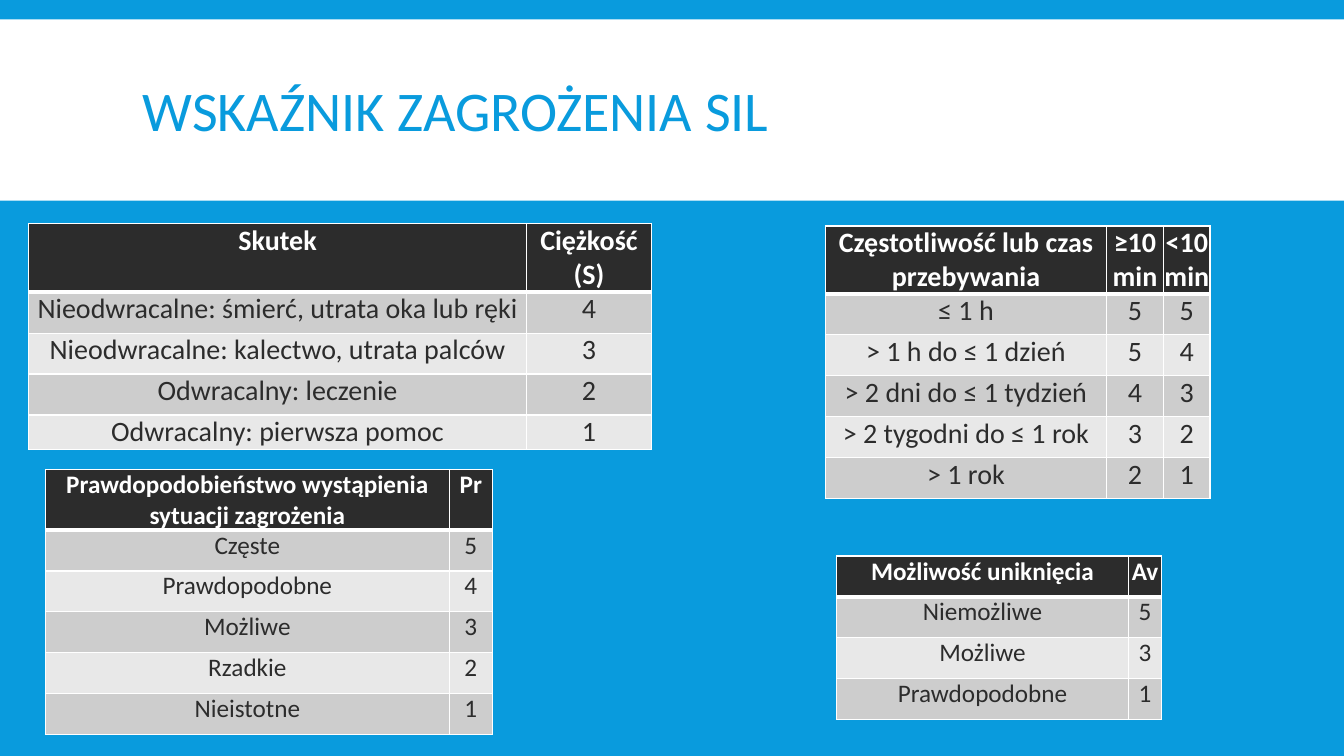
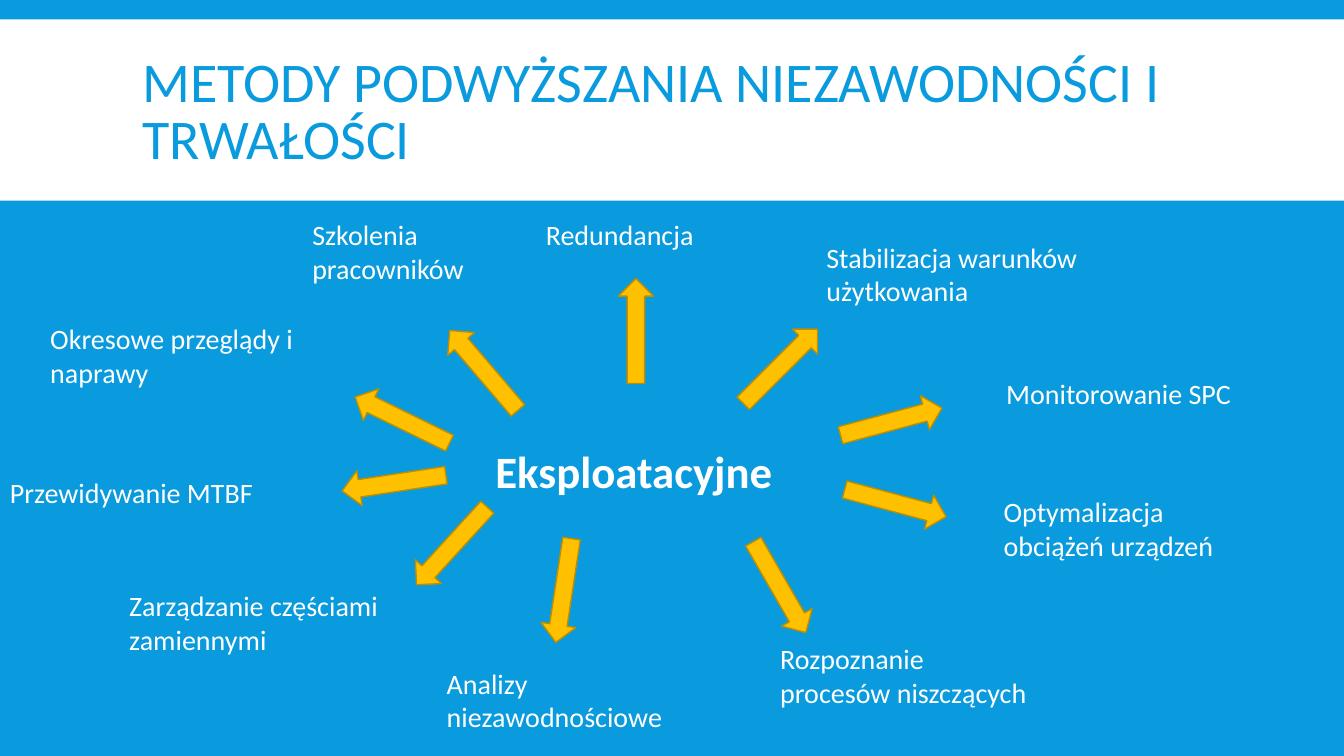
from dataclasses import dataclass

from lxml import etree
from pptx import Presentation, util as u
from pptx.dml.color import RGBColor
from pptx.enum import shapes, text
from pptx.oxml import ns

# The slide is a grid of 160 columns by 90 rows of square cells.
COLS, ROWS = 160, 90
CELL = u.Inches(7.5) / ROWS

BLUE = RGBColor(0x09, 0x9B, 0xDD)
WHITE = RGBColor(0xFF, 0xFF, 0xFF)
DARK = RGBColor(0x2C, 0x2C, 0x2C)
BANDS = RGBColor(0xCD, 0xCD, 0xCD), RGBColor(0xE8, 0xE8, 0xE8)
AMBER = RGBColor(0xFF, 0xC0, 0x00)
AMBER_EDGE = RGBColor(0xBD, 0x8E, 0x00)

FONT = "Calibri"
TABLE_ROW = 4.87
ARROW_LENGTH, ARROW_WIDTH = 12.5, 4.2


@dataclass(frozen=True)
class Scale:
    """A rating table: its top left corner, column widths and rows of text."""
    col: float
    row: float
    widths: tuple[float, ...]
    size: int
    header_height: float
    cells: tuple[tuple[str, ...], ...]
    last_height: float = TABLE_ROW


@dataclass(frozen=True)
class Method:
    """A label and the centre and angle of the arrow that leads to it."""
    label: str
    col: float
    row: float
    width: float
    lines: int
    arrow_col: float
    arrow_row: float
    angle: float


SCALES = (
    Scale(3.4, 26.6, (59.3, 14.85), 20, 8.2, (
        ("Skutek", "Ciężkość (S)"),
        ("Nieodwracalne: śmierć, utrata oka lub ręki", "4"),
        ("Nieodwracalne: kalectwo, utrata palców", "3"),
        ("Odwracalny: leczenie", "2"),
        ("Odwracalny: pierwsza pomoc", "1"),
    ), last_height=4.1),
    Scale(98.3, 26.9, (33.4, 6.84, 5.52), 20, 8.1, (
        ("Częstotliwość lub czas przebywania", "≥10 min", "<10 min"),
        ("≤ 1 h", "5", "5"),
        ("> 1 h do ≤ 1 dzień", "5", "4"),
        ("> 2 dni do ≤ 1 tydzień", "4", "3"),
        ("> 2 tygodni do ≤ 1 rok", "3", "2"),
        ("> 1 rok", "2", "1"),
    )),
    Scale(5.4, 55.9, (48.1, 5.1), 18, 7.2, (
        ("Prawdopodobieństwo wystąpienia sytuacji zagrożenia", "Pr"),
        ("Częste", "5"),
        ("Prawdopodobne", "4"),
        ("Możliwe", "3"),
        ("Rzadkie", "2"),
        ("Nieistotne", "1"),
    )),
    Scale(99.6, 66.2, (34.75, 3.95), 18, TABLE_ROW, (
        ("Możliwość uniknięcia", "Av"),
        ("Niemożliwe", "5"),
        ("Możliwe", "3"),
        ("Prawdopodobne", "1"),
    )),
)

METHODS = (
    Method("Redundancja", 63.8, 25.3, 29.5, 1, 75.7, 39.4, 270),
    Method("Stabilizacja warunków użytkowania", 97.2, 28, 34.8, 2, 92.9, 43.6, 315),
    Method("Monitorowanie SPC", 118.6, 44.2, 33, 1, 106.1, 50.2, 345),
    Method("Optymalizacja obciążeń urządzeń", 118.3, 58.3, 33, 2, 106.6, 59.9, 15),
    Method("Rozpoznanie procesów niszczących", 91.7, 75.8, 32.5, 2, 92.8, 69.9, 60),
    Method("Analizy niezawodnościowe", 52, 78.7, 33, 2, 67.1, 70.3, 98.6),
    Method("Zarządzanie częściami zamiennymi", 14.2, 69.5, 38, 2, 53.8, 65, 132.4),
    Method("Przewidywanie MTBF", 0, 56, 33, 1, 46.9, 57.5, 171.4),
    Method("Okresowe przeglądy i naprawy", 4.8, 37.7, 33, 2, 47.9, 50, 206.1),
    Method("Szkolenia pracowników", 36, 25.3, 29.5, 2, 57.6, 44.1, 229.5),
)


def cells(*counts: float) -> list[u.Emu]:
    """Turn counts of grid cells into lengths."""
    return [u.Emu(round(n * CELL)) for n in counts]


def add_run(p, words: str, size: int, color: RGBColor, bold: bool = False) -> None:
    r = p.add_run()
    r.text = words
    r.font.name, r.font.size, r.font.bold = FONT, u.Pt(size), bold
    r.font.color.rgb = color


def add_text(s, box: tuple[float, ...], words: str, size: int,
             color: RGBColor = WHITE, bold: bool = False):
    tf = s.shapes.add_textbox(*cells(*box)).text_frame
    tf.word_wrap = True
    add_run(tf.paragraphs[0], words, size, color, bold)
    return tf


def add_titled_slide(prs, title: str):
    s = prs.slides.add_slide(prs.slide_layouts[6])
    s.background.fill.solid()
    s.background.fill.fore_color.rgb = BLUE
    band = s.shapes.add_shape(shapes.MSO_SHAPE.RECTANGLE, *cells(0, 2.3, COLS, 21.6))
    band.shadow.inherit = False
    band.fill.solid()
    band.fill.fore_color.rgb = WHITE
    band.line.fill.background()
    tf = add_text(s, (15.8, 3.7, 128.4, 19.8), title, 40, BLUE)
    tf.vertical_anchor = text.MSO_ANCHOR.MIDDLE
    tf.paragraphs[0].line_spacing = 0.85
    return s


def add_border(cell, side: str, points: float) -> None:
    tc_pr = cell._tc.get_or_add_tcPr()
    ln = etree.SubElement(tc_pr, ns.qn(f"a:ln{side}"), w=str(u.Pt(points)))
    fill = etree.SubElement(ln, ns.qn("a:solidFill"))
    etree.SubElement(fill, ns.qn("a:srgbClr"), val=str(WHITE))


def style_cell(cell, row: int, words: str, size: int) -> None:
    header = row == 0
    cell.margin_left = cell.margin_right = cell.margin_top = cell.margin_bottom = 0
    thick_side = {0: "B", 1: "T"}.get(row)
    for side in "LRTB":
        add_border(cell, side, 3 if side == thick_side else 1)
    cell.fill.solid()
    cell.fill.fore_color.rgb = DARK if header else BANDS[(row - 1) % 2]
    p = cell.text_frame.paragraphs[0]
    p.alignment = text.PP_ALIGN.CENTER
    add_run(p, words, size, WHITE if header else DARK, header)


def add_scale(s, scale: Scale) -> None:
    middle = [TABLE_ROW] * (len(scale.cells) - 2)
    heights = [scale.header_height, *middle, scale.last_height]
    box = cells(scale.col, scale.row, sum(scale.widths), sum(heights))
    table = s.shapes.add_table(len(heights), len(scale.widths), *box).table
    table.horz_banding = False
    for column, width in zip(table.columns, cells(*scale.widths)):
        column.width = width
    for row, height in zip(table.rows, cells(*heights)):
        row.height = height
    for i, line in enumerate(scale.cells):
        for j, words in enumerate(line):
            style_cell(table.cell(i, j), i, words, scale.size)


def add_arrow(s, col: float, row: float, angle: float) -> None:
    """Draw an arrow centred on a grid point."""
    box = cells(col - ARROW_LENGTH / 2, row - ARROW_WIDTH / 2, ARROW_LENGTH, ARROW_WIDTH)
    arrow = s.shapes.add_shape(shapes.MSO_SHAPE.RIGHT_ARROW, *box)
    arrow.rotation = angle
    arrow.shadow.inherit = False
    arrow.fill.solid()
    arrow.fill.fore_color.rgb = AMBER
    arrow.line.color.rgb = AMBER_EDGE
    arrow.line.width = u.Pt(1)


def main() -> None:
    prs = Presentation()
    prs.slide_width, prs.slide_height = cells(COLS, ROWS)

    s = add_titled_slide(prs, "WSKAŹNIK ZAGROŻENIA SIL")
    for scale in SCALES:
        add_scale(s, scale)

    s = add_titled_slide(prs, "METODY PODWYŻSZANIA NIEZAWODNOŚCI I TRWAŁOŚCI")
    add_text(s, (57.8, 52.2, 48.4, 7.7), "Eksploatacyjne", 32, bold=True)
    for m in METHODS:
        add_text(s, (m.col, m.row, m.width, 1.2 + 4 * m.lines), m.label, 20)
        add_arrow(s, m.arrow_col, m.arrow_row, m.angle)

    prs.save("out.pptx")


if __name__ == "__main__":
    main()
